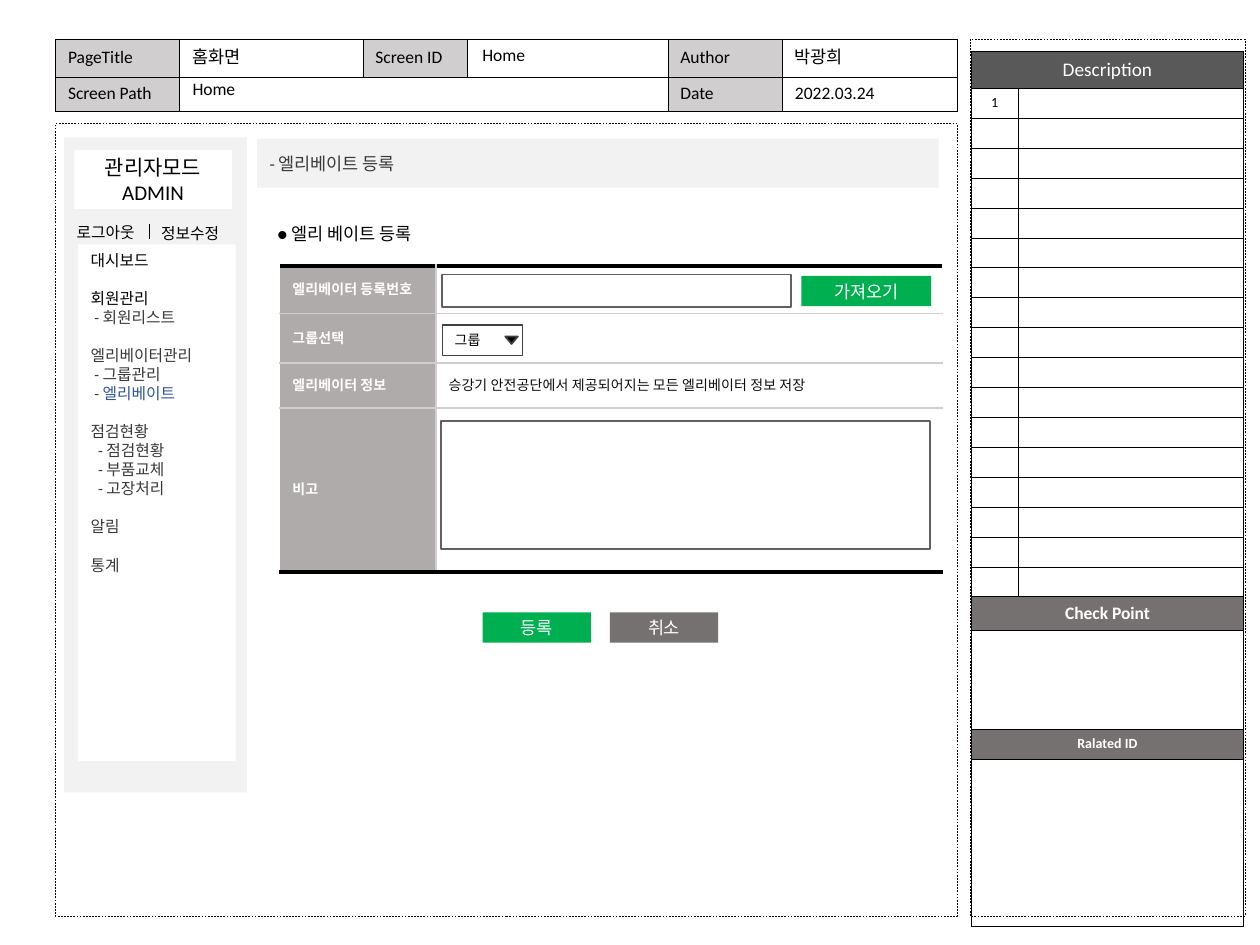
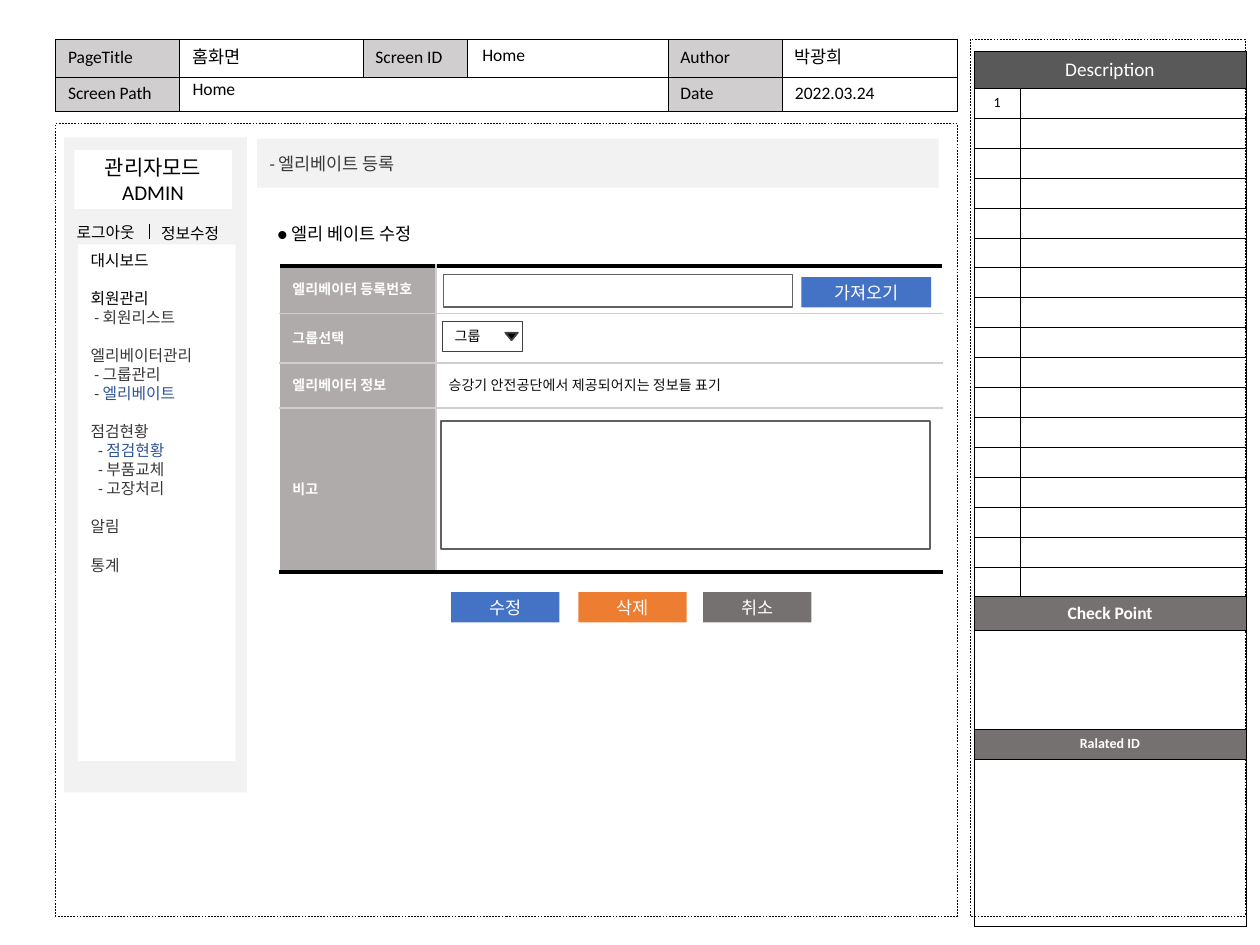
from lxml import etree
from pptx import Presentation
from pptx import util as u
from pptx.dml.color import RGBColor
from pptx.enum import dml, shapes, text
from pptx.oxml.ns import qn

HUE = {
    "black": "000000", "white": "FFFFFF", "ink": "3B3838", "note": "0D0D0D",
    "link": "2F5597", "panel": "F2F2F2", "head": "D0CECE", "label": "AFABAB",
    "dark": "595959", "gray": "767171", "field": "646060", "drop": "404040",
    "green": "00B050", "blue": "4472C4", "orange": "ED7D31",
}
FONT = "Calibri"
LEFT, MID = text.PP_ALIGN.LEFT, text.PP_ALIGN.CENTER
TOP, CENTER = text.MSO_ANCHOR.TOP, text.MSO_ANCHOR.MIDDLE
RECT = shapes.MSO_SHAPE.RECTANGLE


def write(para, words, size, hue, bold=False):
    """Add one run to a paragraph."""
    run = para.add_run()
    run.text = words
    run.font.size = u.Pt(size)
    run.font.bold = bold
    run.font.name = FONT
    run.font.color.rgb = RGBColor.from_string(HUE[hue])
    etree.SubElement(run.font._element, qn("a:ea"), typeface=FONT)


def edge(cell, side, hue, width):
    """Draw one border of a cell; sides go in the order L, R, T, B."""
    line = etree.SubElement(cell._tc.get_or_add_tcPr(), qn("a:ln" + side),
                            w=str(u.Pt(width)))
    fill = etree.SubElement(line, qn("a:solidFill"))
    etree.SubElement(fill, qn("a:srgbClr"), val=HUE[hue])


# Page header: row, column -> words, fill, size, hue, bold, align
head = {(r, c): (words, "head", 10, "black", False, LEFT) for r, c, words in [
    (0, 0, "PageTitle"), (0, 2, "Screen ID"), (0, 4, "Author"),
    (1, 0, "Screen Path"), (1, 4, "Date")]}
head[0, 5] = ("박광희", None, 10, "black", False, LEFT)
head[1, 5] = ("2022.03.24", None, 10, "black", False, LEFT)

# Description column
side = {
    (0, 0): ("Description", "dark", 11, "white", False, MID),
    (1, 0): ("1", None, 8, "black", False, MID),
    (18, 0): ("Check Point", "gray", 10, "white", True, MID),
    (20, 0): ("Ralated ID", "gray", 8, "white", True, MID),
}
steps = [0.29] + [4.04 / 17] * 17 + [0.26, 0.78, 0.24, 1.33]

# Form labels
names = ["엘리베이터 등록번호", "그룹선택", "엘리베이터 정보", "비고"]
form = {(r, 0): (name, "label", 8, "white", True, LEFT)
        for r, name in enumerate(names)}

# Menu: words, indent, gap above
menu = [
    ("대시보드", 0, 0), ("회원관리", 0, 11), ("회원리스트", 0.03, 0),
    ("엘리베이터관리", 0, 11), ("그룹관리", 0.03, 0), ("엘리베이트", 0.03, 0),
    ("점검현황", 0, 11), ("점검현황", 0.06, 0), ("부품교체", 0.06, 0),
    ("고장처리", 0.06, 0), ("알림", 0, 11), ("통계", 0, 11),
]

# What differs between the two screens
pages = [
    {"name": "● 엘리 베이트 등록", "info": "승강기 안전공단에서 제공되어지는 모든 엘리베이터 정보 저장",
     "side": 7.71, "input": 3.51, "drop": 2.58, "fetch": (2.19, "green"),
     "links": [5], "row": 4.86,
     "keys": [(3.83, "등록", "green"), (4.84, "취소", "gray")]},
    {"name": "● 엘리 베이트 수정", "info": "승강기 안전공단에서 제공되어지는 정보들 표기",
     "side": 7.73, "input": 3.52, "drop": 2.55, "fetch": (2.2, "blue"),
     "links": [5, 7], "row": 4.7,
     "keys": [(3.58, "수정", "blue"), (4.59, "삭제", "orange"),
              (5.58, "취소", "gray")]},
]

prs = Presentation()
prs.slide_width, prs.slide_height = u.Inches(10), u.Inches(7.5)

for page in pages:
    slide = prs.slides.add_slide(prs.slide_layouts[5])
    items = slide.shapes

    # Title bar
    bar = items.title
    bar.left, bar.top, bar.width, bar.height = map(
        u.Inches, (2.04, 1.1, 5.41, 0.39))
    bar.fill.solid()
    bar.fill.fore_color.rgb = RGBColor.from_string(HUE["panel"])
    bar.text_frame.auto_size = text.MSO_AUTO_SIZE.NONE
    bar.text_frame.vertical_anchor = CENTER
    para = bar.text_frame.paragraphs[0]
    para.alignment = LEFT
    write(para, "- 엘리베이트 등록", 10, "ink")

    # Dashed frames
    for at in [(0.44, 0.98, 7.16, 6.29), (7.7, 0.31, 2.18, 6.96)]:
        frame = items.add_shape(RECT, *map(u.Inches, at))
        frame.shadow.inherit = False
        frame.fill.background()
        frame.line.color.rgb = RGBColor.from_string(HUE["black"])
        frame.line.width = u.Pt(0.25)
        frame.line.dash_style = dml.MSO_LINE.DASH

    # Tables: place, columns, rows, cells, merged spans
    info = {(2, 1): (page["info"], None, 8, "note", False, LEFT)}
    grids = [
        ((0.44, 0.31), [0.98, 1.46, 0.83, 1.59, 0.91, 1.39], [0.3, 0.26],
         head, [(1, 1, 3)]),
        ((page["side"], 0.41), [0.37, 1.79], steps,
         side, [(r, 0, 1) for r in (0, 18, 19, 20, 21)]),
        ((2.22, 2.11), [1.24, 4.02], [0.38, 0.39, 0.36, 1.3],
         form | info, []),
    ]
    for at, cols, rows, cells, spans in grids:
        size = (sum(cols), sum(rows))
        table = items.add_table(len(rows), len(cols),
                                *map(u.Inches, at + size)).table
        table.first_row = table.horz_banding = False
        for c, width in enumerate(cols):
            table.columns[c].width = u.Inches(width)
        for r, height in enumerate(rows):
            table.rows[r].height = u.Inches(height)
            for c in range(len(cols)):
                cell = table.cell(r, c)
                if cells is head or cells is side:
                    for way in "LRTB":
                        edge(cell, way, "black", 0.25)
                else:
                    edge(cell, "LR"[c == 0], "head", 1)
                    for way, end in [("T", 0), ("B", len(rows) - 1)]:
                        edge(cell, way, *(("black", 2.25) if r == end
                                          else ("head", 1)))
                cell.fill.background()
                cell.vertical_anchor = CENTER
                para = cell.text_frame.paragraphs[0]
                if (r, c) in cells:
                    words, fill, points, hue, bold, align = cells[r, c]
                    para.alignment = align
                    write(para, words, points, hue, bold)
                    if fill:
                        cell.fill.solid()
                        cell.fill.fore_color.rgb = RGBColor.from_string(HUE[fill])
                else:
                    para._p.get_or_add_endParaRPr().set("sz", "800")
        for r, start, stop in spans:
            table.cell(r, start).merge(table.cell(r, stop))

    # Boxes: place, fill, line, line width, lines of text, size, hue, align, anchor
    top, tint = page["fetch"]
    boxes = [
        ((0.51, 1.09, 1.45, 5.2), "panel", None, 0, [], 9, "black", LEFT, TOP),
        ((0.59, 1.19, 1.25, 0.47), "white", None, 0, ["관리자모드", "ADMIN"],
         12, "black", MID, CENTER),
        ((page["input"], 2.18, 2.77, 0.26), None, "field", 1, [],
         8, "black", LEFT, TOP),
        ((3.5, 3.34, 3.88, 1.02), None, "field", 1, [], 8, "black", LEFT, TOP),
        ((3.51, page["drop"], 0.64, 0.24), "white", "drop", 0.75, ["그룹"],
         8, "black", LEFT, TOP),
        ((6.36, top, 1.03, 0.24), tint, None, 0, ["가져오기"],
         10, "white", MID, CENTER),
    ] + [((x, page["row"], 0.86, 0.24), fill, None, 0, [words],
          10, "white", MID, CENTER) for x, words, fill in page["keys"]]
    for at, fill, line, width, lines, size, hue, align, anchor in boxes:
        box = items.add_shape(RECT, *map(u.Inches, at))
        box.shadow.inherit = False
        if fill:
            box.fill.solid()
            box.fill.fore_color.rgb = RGBColor.from_string(HUE[fill])
        else:
            box.fill.background()
        if line:
            box.line.color.rgb = RGBColor.from_string(HUE[line])
            box.line.width = u.Pt(width)
        else:
            box.line.fill.background()
        box.text_frame.vertical_anchor = anchor
        for i, words in enumerate(lines):
            para = (box.text_frame.add_paragraph() if i
                    else box.text_frame.paragraphs[0])
            para.alignment = align
            write(para, words, size, hue)

    # Drop-down arrow
    arrow = items.add_shape(shapes.MSO_SHAPE.ISOSCELES_TRIANGLE, *map(
        u.Inches, (4.01, page["drop"] + 0.09, 0.1, 0.06)))
    arrow.rotation = 180
    arrow.shadow.inherit = False
    arrow.fill.solid()
    arrow.fill.fore_color.rgb = RGBColor.from_string(HUE["black"])
    arrow.line.color.rgb = RGBColor.from_string(HUE["drop"])
    arrow.line.width = u.Pt(1)

    # Plain labels
    for at, words, size in [
            ((1.43, 0.32, 1.45, 0.27), "홈화면", 10),
            ((1.43, 0.57, 3.84, 0.27), "Home", 10),
            ((3.73, 0.3, 1.45, 0.27), "Home", 10),
            ((0.51, 1.72, 0.71, 0.25), "로그아웃", 9),
            ((1.18, 1.73, 0.71, 0.25), "정보수정", 9),
            ((2.1, 1.72, 1.42, 0.27), page["name"], 10)]:
        label = items.add_textbox(*map(u.Inches, at)).text_frame
        label.word_wrap = True
        write(label.paragraphs[0], words, size, "black")

    # Divider between the account links
    rule = items.add_connector(shapes.MSO_CONNECTOR.STRAIGHT, *map(
        u.Inches, (1.19, 1.78, 1.19, 1.9)))
    rule.line.color.rgb = RGBColor.from_string(HUE["black"])
    rule.line.width = u.Pt(0.5)
    etree.SubElement(rule._element.spPr, qn("a:effectLst"))

    # Side menu
    panel = items.add_shape(RECT, *map(u.Inches, (0.62, 1.94, 1.25, 4.1)))
    panel.shadow.inherit = False
    panel.fill.solid()
    panel.fill.fore_color.rgb = RGBColor.from_string(HUE["white"])
    panel.line.fill.background()
    panel.text_frame.vertical_anchor = TOP
    for i, (words, indent, gap) in enumerate(menu):
        para = (panel.text_frame.add_paragraph() if i
                else panel.text_frame.paragraphs[0])
        para.alignment = LEFT
        para.space_before = u.Pt(gap)
        para._p.get_or_add_pPr().set("marL", str(u.Inches(indent)))
        if indent:
            write(para, "- ", 9, "ink")
        hue = "link" if i in page["links"] else "black" if i < 2 else "ink"
        write(para, words, 9, hue)

prs.save("out.pptx")
